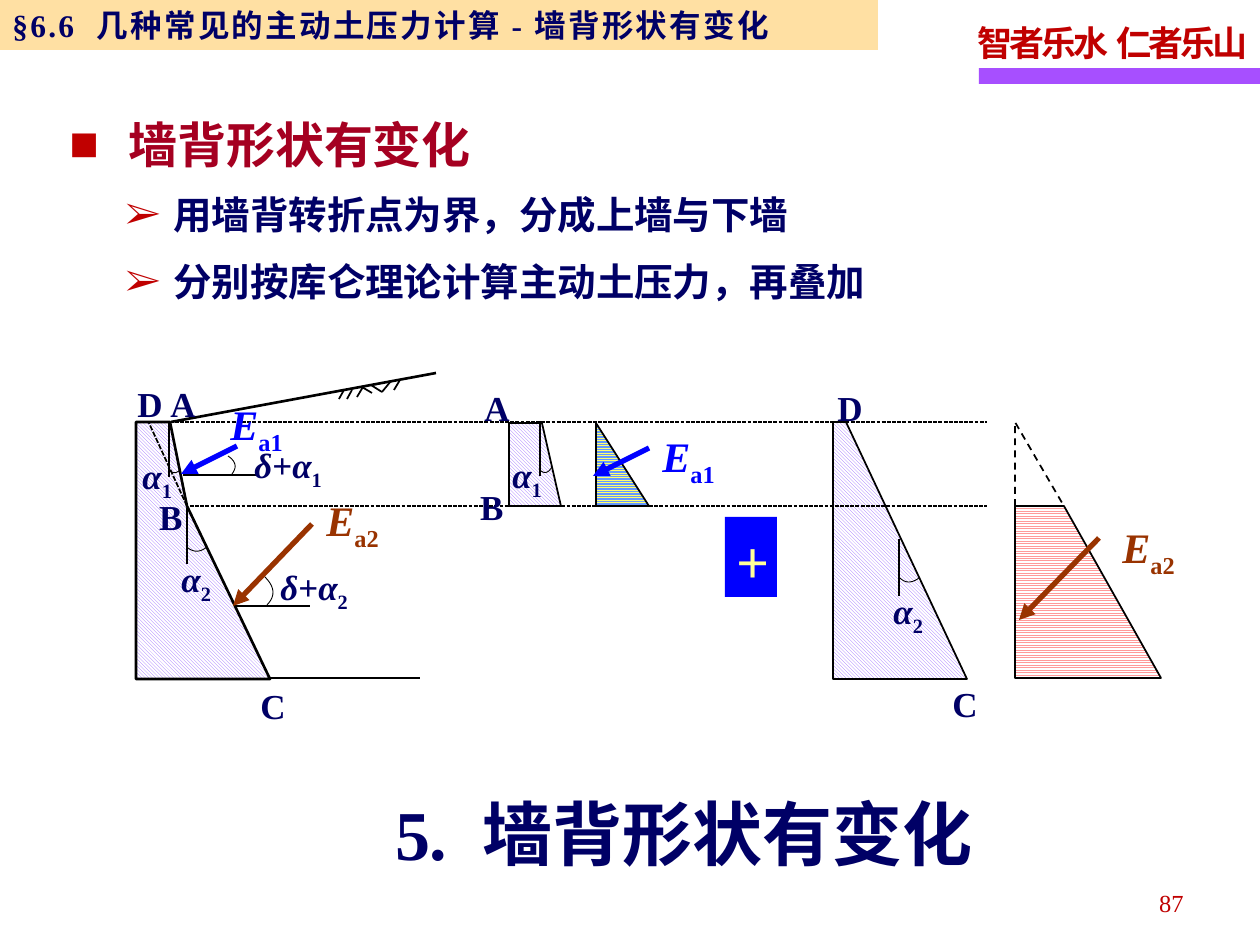
from lxml import etree
from pptx import Presentation
from pptx import util as u
from pptx.dml.color import RGBColor
from pptx.enum import dml, shapes, text
from pptx.oxml import ns

SCALE = 914400 / 126
TIMES = "Times New Roman"
SANS = "Noto Sans CJK SC"
NAVY, RED, BLUE, BROWN, BLACK = "000066", "C00000", "0000FF", "993300", "000000"
WALL = (dml.MSO_PATTERN.LIGHT_DOWNWARD_DIAGONAL, "9966FF", "FFFFFF")
UPPER_PRESSURE = (dml.MSO_PATTERN.LIGHT_HORIZONTAL, "FFFF70", "6699FF")
LOWER_PRESSURE = (dml.MSO_PATTERN.LIGHT_HORIZONTAL, "FF9999", "FFFFFF")


def px(n):
    return u.Emu(round(n * SCALE))


def color(value):
    return RGBColor.from_string(value)


def child(parent, tag, **attributes):
    return etree.SubElement(parent, ns.qn(tag), attributes)


def add_run(paragraph, words, size, ink, font=TIMES, bold=True, italic=False,
            sub=False, spacing=None):
    run = paragraph.add_run()
    run.text = words
    run.font.size = u.Pt(size)
    run.font.bold = bold
    run.font.italic = italic
    run.font.color.rgb = color(ink)
    run.font.name = font
    properties = run.font._element
    child(properties, "a:ea", typeface=SANS)
    if sub:
        properties.set("baseline", "-25000")
    if spacing is not None:
        properties.set("spc", str(round(spacing * 100)))


def add_text(slide, box, wrap=True, anchor=text.MSO_ANCHOR.TOP,
             align=text.PP_ALIGN.LEFT, leading=1.0):
    frame = slide.shapes.add_textbox(*map(px, box)).text_frame
    frame.word_wrap = wrap
    if not wrap:
        frame.auto_size = text.MSO_AUTO_SIZE.SHAPE_TO_FIT_TEXT
    frame.vertical_anchor = anchor
    paragraph = frame.paragraphs[0]
    paragraph.alignment = align
    paragraph.line_spacing = leading
    return paragraph


def add_block(slide, box, fill, alpha=None):
    block = slide.shapes.add_shape(shapes.MSO_SHAPE.RECTANGLE, *map(px, box))
    block.shadow.inherit = False
    block.fill.solid()
    block.fill.fore_color.rgb = color(fill)
    block.line.fill.background()
    if alpha:
        tint = block._element.spPr.find(ns.qn("a:solidFill"))[0]
        child(tint, "a:alpha", val=str(alpha * 1000))
    paragraph = block.text_frame.paragraphs[0]
    paragraph.alignment = text.PP_ALIGN.LEFT
    return paragraph


def add_bullet(paragraph, mark, hang):
    properties = paragraph._p.get_or_add_pPr()
    properties.set("marL", str(px(hang)))
    properties.set("indent", str(-px(hang)))
    tint = child(properties, "a:buClr")
    child(tint, "a:srgbClr", val=RED)
    child(properties, "a:buFont", typeface=TIMES)
    child(properties, "a:buChar", char=mark)


def add_line(target, start, end, weight=0.75, ink=BLACK, dash=None, arrow=False):
    line = target.add_connector(shapes.MSO_CONNECTOR.STRAIGHT,
                                *map(px, start + end))
    line.line.color.rgb = color(ink)
    line.line.width = u.Pt(weight)
    if dash:
        line.line.dash_style = dash
    if arrow:
        child(line.line._get_or_add_ln(), "a:tailEnd", type="triangle")
    child(line._element.spPr, "a:effectLst")


def add_outline(slide, points, weight=1, pattern=None, close=True, dash=None):
    corners = [(px(x), px(y)) for x, y in points]
    builder = slide.shapes.build_freeform(*corners[0])
    builder.add_line_segments(corners[1:], close=close)
    outline = builder.convert_to_shape()
    outline.shadow.inherit = False
    if pattern:
        outline.fill.patterned()
        outline.fill.pattern, front, back = pattern
        outline.fill.fore_color.rgb = color(front)
        outline.fill.back_color.rgb = color(back)
    else:
        outline.fill.background()
    outline.line.color.rgb = color(BLACK)
    outline.line.width = u.Pt(weight)
    if dash:
        outline.line.dash_style = dash


def add_angle(slide, start, bend, end, steps=10):
    curve = []
    for step in range(steps + 1):
        t = step / steps
        curve.append(tuple((1 - t) ** 2 * a + 2 * t * (1 - t) * b + t * t * c
                           for a, b, c in zip(start, bend, end)))
    add_outline(slide, curve, weight=0.5, close=False)


def add_point(slide, letter, x, y):
    paragraph = add_text(slide, (x, y, 50, 56), wrap=False, leading=1.1,
                         anchor=text.MSO_ANCHOR.MIDDLE,
                         align=text.PP_ALIGN.CENTER)
    add_run(paragraph, letter, 20, NAVY)


def add_symbol(slide, letters, index, x, y, width, size=20, ink=NAVY):
    paragraph = add_text(slide, (x, y, width, 62), leading=1.15)
    for letter in letters:
        add_run(paragraph, letter, size, ink, italic=letter != "+")
    add_run(paragraph, index, size, ink, sub=True)


def add_header(slide):
    add_block(slide, (979, 68, 281, 16), "A74FFF")
    motto = add_text(slide, (965, 9, 297, 62), wrap=False, leading=1.15)
    for words, spacing in (("智者乐水", -1.7), (" ", -0.1), ("仁者乐山", -1.7)):
        add_run(motto, words, 20, RED, spacing=spacing)
    section = add_block(slide, (0, 0, 878, 50), "FFCC66", alpha=60)
    for words, spacing in (("§6.6", 1.3), (" ", 7.1),
                           ("几种常见的主动土压力计算 - 墙背形状有变化", 1.3)):
        add_run(section, words, 18, NAVY, spacing=spacing)


def add_wording(slide):
    heading = add_text(slide, (57, 79, 470, 87), leading=1.5)
    add_bullet(heading, "■", 59)
    add_run(heading, "墙背形状有变化", 28, "A50021", SANS)

    step = add_text(slide, (113, 176, 781, 139), leading=1.2)
    add_bullet(step, "➢", 48)
    add_run(step, "用墙背转折点为界，分成上墙与下墙", 22, NAVY, SANS)
    step = step._parent.add_paragraph()
    step.line_spacing = 1.2
    step.space_before = u.Pt(6.4)
    add_bullet(step, "➢", 48)
    add_run(step, "分别按库仑理论计算主动土压力，再叠加", 22, NAVY, SANS)

    title = add_text(slide, (238, 784, 891, 97), align=text.PP_ALIGN.CENTER)
    for words, spacing in (("5.", 0), (" ", 10), ("墙背形状有变化", 0)):
        add_run(title, words, 40, NAVY, spacing=spacing)
    number = add_text(slide, (902, 877, 294, 50), align=text.PP_ALIGN.RIGHT,
                      leading=1.15)
    add_run(number, "87", 14, RED, bold=False)


def add_diagram(slide):
    dotted = dml.MSO_LINE.SQUARE_DOT
    dashed = dml.MSO_LINE.DASH
    drawing = slide.shapes

    for outline, weight, pattern in (
        ([(170, 422), (136, 422), (136, 679), (270, 679), (187, 506)], 1.5, WALL),
        ([(561, 506), (542, 423), (509, 423), (509, 506)], 1, WALL),
        ([(967, 679), (833, 679), (833, 422), (846, 422)], 1, WALL),
        ([(596, 423), (596, 506), (649, 506)], 1, UPPER_PRESSURE),
        ([(1064, 506), (1015, 506), (1015, 678), (1161, 678)], 1, LOWER_PRESSURE),
    ):
        add_outline(slide, outline, weight, pattern)
    add_outline(slide, [(1015, 506), (1015, 422), (1064, 506)],
                close=False, dash=dashed)

    for start, end, weight, dash in (
        ((171, 422), (436, 373), 1.5, None),
        ((268, 678), (420, 678), 1.5, None),
        ((175, 422), (987, 422), 0.75, dotted),
        ((190, 506), (987, 506), 0.75, dotted),
        ((187, 506), (149, 423), 1, dotted),
        ((169, 422), (169, 477), 0.75, None),
        ((187, 508), (187, 564), 0.75, None),
        ((540, 421), (540, 476), 0.75, None),
        ((899, 539), (899, 596), 0.75, None),
        ((183, 475), (257, 475), 0.75, None),
        ((236, 606), (310, 606), 0.75, None),
    ):
        add_line(drawing, start, end, weight, dash=dash)

    soil = drawing.add_group_shape().shapes
    for start, end in (
        ((344, 390), (339, 399)), ((352, 390), (347, 399)),
        ((363, 387), (357, 397)), ((362, 387), (372, 393)),
        ((371, 385), (382, 392)), ((382, 392), (391, 381)),
        ((394, 390), (400, 380)),
    ):
        add_line(soil, start, end, 1)

    for angle in (
        ((169, 470), (175, 476), (181, 469)),
        ((188, 548), (197, 555), (207, 547)),
        ((539, 469), (546, 477), (552, 467)),
        ((900, 578), (908, 586), (919, 578)),
        ((232, 474), (240, 464), (228, 456)),
        ((267, 605), (280, 592), (265, 577)),
    ):
        add_angle(slide, *angle)

    for tail, tip, ink in (
        ((237, 446), (181, 474), BLUE), ((649, 448), (593, 476), BLUE),
        ((312, 524), (233, 606), BROWN), ((1099, 538), (1019, 620), BROWN),
    ):
        add_line(drawing, tail, tip, 3, ink, arrow=True)

    plus = add_block(slide, (725, 517, 52, 80), BLUE)
    plus.line_spacing = 1.15
    add_run(plus, "+", 32, "FFFF99", SANS, bold=False)


def add_labels(slide):
    for letter, x, y in (("A", 158, 373), ("B", 146, 486), ("C", 248, 675),
                         ("D", 125, 373), ("A", 472, 377), ("B", 467, 476),
                         ("C", 940, 673), ("D", 825, 377)):
        add_point(slide, letter, x, y)
    for index, x, y in (("1", 130, 441), ("2", 169, 544),
                        ("1", 500, 440), ("2", 881, 576)):
        add_symbol(slide, "α", index, x, y, 62)
    for index, x, y in (("1", 242, 430), ("2", 268, 552)):
        add_symbol(slide, "δ+α", index, x, y, 102)
    for index, x, y, ink in (("a1", 218, 384, BLUE), ("a1", 650, 416, BLUE),
                             ("a2", 314, 480, BROWN), ("a2", 1110, 507, BROWN)):
        add_symbol(slide, "E", index, x, y, 94, 24, ink)


def main():
    deck = Presentation()
    deck.slide_width, deck.slide_height = px(1260), px(945)
    slide = deck.slides.add_slide(deck.slide_layouts[6])
    add_header(slide)
    add_wording(slide)
    add_diagram(slide)
    add_labels(slide)
    deck.save("out.pptx")


if __name__ == "__main__":
    main()
